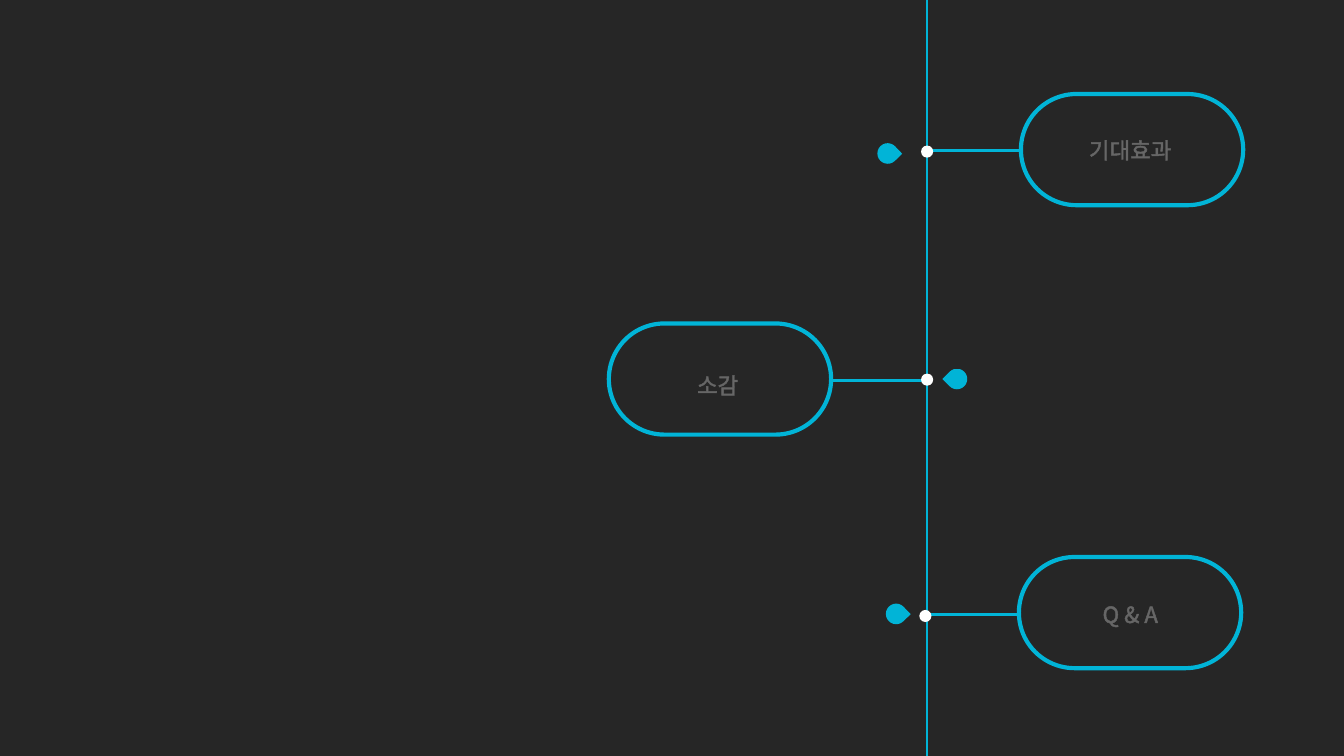
from dataclasses import dataclass

from lxml.etree import SubElement
from pptx import Presentation
from pptx.dml.color import RGBColor
from pptx.enum.shapes import MSO_CONNECTOR, MSO_SHAPE
from pptx.enum.text import MSO_AUTO_SIZE, PP_ALIGN
from pptx.oxml import parse_xml
from pptx.oxml.ns import nsdecls, qn
from pptx.util import Inches, Pt

BACKGROUND = RGBColor(0x26, 0x26, 0x26)
CYAN = RGBColor(0x01, 0xB4, 0xD7)
WHITE = RGBColor(0xFF, 0xFF, 0xFF)
OUTLINE = RGBColor(0xF2, 0xF2, 0xF2)
FONT = "Noto Sans CJK KR"

SLIDE_WIDTH = Inches(10)
SLIDE_HEIGHT = SLIDE_WIDTH * 9 // 16
COLUMNS = 100
ROWS = COLUMNS * 9 / 16
SPINE_COLUMN = 68.97
PILL_SIZE = (16.54, 8.27)
BRANCH_LENGTH = 6.9
DOT_SIZE = (0.9, 0.9)
DROP_SIZE = (1.53, 1.53)
LABEL_HEIGHT = 3


@dataclass
class Stop:
    """One stop on the timeline, with centres as (column, row)."""
    label: str
    label_center: tuple
    label_width: float
    pill_center: tuple
    branch_row: float
    dot_center: tuple
    drop_center: tuple
    drop_rotation: float


STOPS = [
    Stop("기대효과", (84.1, 11.15), 8.3, (84.23, 11.13), 11.2, (68.98, 11.28), (66.05, 11.42), 46.2),
    Stop("소감", (53.4, 28.65), 5.2, (53.57, 28.2), 28.3, (68.98, 28.25), (71.2, 28.2), 225),
    Stop("Q & A", (84.1, 45.7), 16.5, (84.08, 45.58), 45.75, (68.85, 45.83), (66.68, 45.68), 46.2),
]


def cells(count):
    """Convert a number of square grid cells to a length."""
    return round(SLIDE_WIDTH * count / COLUMNS)


def centered_box(center, size):
    """Return left, top, width and height of a box around a grid point."""
    left, top = (middle - extent / 2 for middle, extent in zip(center, size))
    return [cells(value) for value in (left, top, *size)]


def add_line(slide, start, end):
    """Draw a cyan line between two grid points."""
    line = slide.shapes.add_connector(
        MSO_CONNECTOR.STRAIGHT, *[cells(value) for value in (*start, *end)])
    line.line.color.rgb = CYAN
    line.line.width = Pt(1.5)
    SubElement(line._element.spPr, qn("a:effectLst"))


def add_marker(slide, preset, center, size, color, rotation=0):
    """Draw a filled shape without a border."""
    marker = slide.shapes.add_shape(preset, *centered_box(center, size))
    marker.shadow.inherit = False
    marker.fill.solid()
    marker.fill.fore_color.rgb = color
    marker.line.fill.background()
    marker.rotation = rotation


def add_pill(slide, center):
    """Draw an unfilled pill with a cyan border."""
    pill = slide.shapes.add_shape(
        MSO_SHAPE.ROUNDED_RECTANGLE, *centered_box(center, PILL_SIZE))
    pill.adjustments[0] = 0.5
    pill.shadow.inherit = False
    pill.fill.background()
    pill.line.color.rgb = CYAN
    pill.line.width = Pt(2.25)


def add_label(slide, text, center, width):
    """Write a centred label with translucent outlined letters."""
    box = slide.shapes.add_textbox(*centered_box(center, (width, LABEL_HEIGHT)))
    frame = box.text_frame
    frame.word_wrap = False
    frame.auto_size = MSO_AUTO_SIZE.SHAPE_TO_FIT_TEXT
    paragraph = frame.paragraphs[0]
    paragraph.alignment = PP_ALIGN.CENTER
    run = paragraph.add_run()
    run.text = text
    run.font.size = Pt(12)
    run.font.name = FONT
    run.font.color.rgb = WHITE
    properties = run._r.get_or_add_rPr()
    SubElement(properties, qn("a:ea")).set("typeface", FONT)
    properties.insert(0, parse_xml(
        f'<a:ln {nsdecls("a")} w="{Pt(0.75)}"><a:solidFill><a:srgbClr val="{OUTLINE}">'
        '<a:alpha val="30000"/></a:srgbClr></a:solidFill><a:prstDash val="solid"/></a:ln>'))


def add_stop(slide, stop):
    """Draw the branch, markers, label and pill of one stop."""
    column = stop.pill_center[0]
    side = 1 if column > SPINE_COLUMN else -1
    edge = column - side * PILL_SIZE[0] / 2
    add_line(slide, (edge, stop.branch_row), (edge - side * BRANCH_LENGTH, stop.branch_row))
    add_marker(slide, MSO_SHAPE.TEAR, stop.drop_center, DROP_SIZE, CYAN, stop.drop_rotation)
    add_marker(slide, MSO_SHAPE.OVAL, stop.dot_center, DOT_SIZE, WHITE)
    add_label(slide, stop.label, stop.label_center, stop.label_width)
    add_pill(slide, stop.pill_center)


def main():
    """Build the timeline slide and save it."""
    presentation = Presentation()
    presentation.slide_width = SLIDE_WIDTH
    presentation.slide_height = SLIDE_HEIGHT
    slide = presentation.slides.add_slide(presentation.slide_layouts[6])
    slide.background.fill.solid()
    slide.background.fill.fore_color.rgb = BACKGROUND
    add_line(slide, (SPINE_COLUMN, 0), (SPINE_COLUMN, ROWS))
    for stop in STOPS:
        add_stop(slide, stop)
    presentation.save("out.pptx")


if __name__ == "__main__":
    main()
